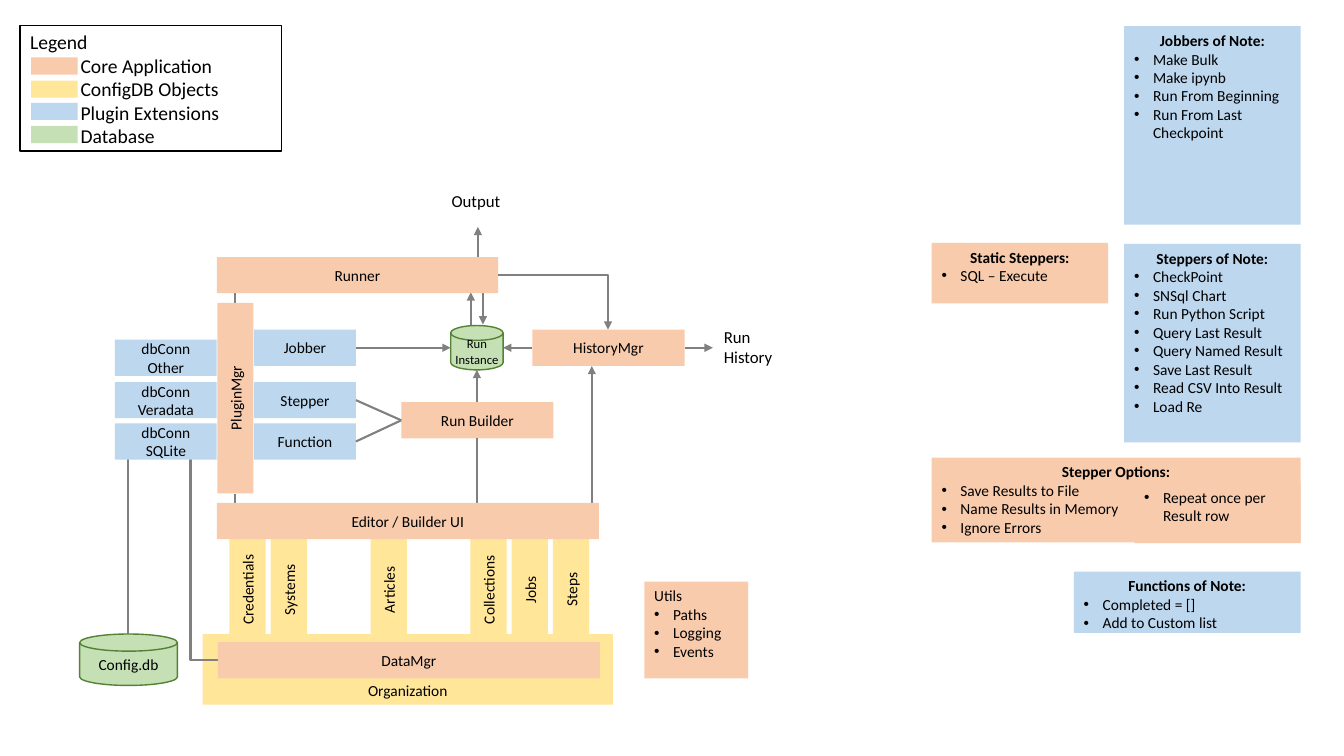
from lxml import etree
from pptx import Presentation
from pptx import util as u
from pptx.dml.color import RGBColor
from pptx.enum import shapes, text
from pptx.oxml import ns

PX = 9144  # 100 px to the inch
COLORS = {
    "core": "F8CBAD", "config": "FFE699", "plugin": "BDD7EE", "database": "C5E0B4",
    "rim": "548235", "line": "808080", "ink": "000000", "paper": "FFFFFF",
}
SHAPE = shapes.MSO_SHAPE
CENTER, LEFT = text.PP_ALIGN.CENTER, text.PP_ALIGN.LEFT
TOP, MIDDLE, BOTTOM = (text.MSO_ANCHOR.TOP, text.MSO_ANCHOR.MIDDLE,
                       text.MSO_ANCHOR.BOTTOM)


def color(name):
    return RGBColor.from_string(COLORS[name])


def child(parent, tag, **attrs):
    return etree.SubElement(parent, ns.qn(tag), attrs)


class Diagram:
    """Holds the slide and draws every element in one shared style."""

    def __init__(self, slide, font="Calibri", size=11):
        self.s, self.font, self.size = slide, font, size

    def add_text(self, p, words, size=None, bold=False, align=LEFT):
        p.alignment = align
        r = p.add_run()
        r.text = words
        r.font.name, r.font.size, r.font.bold = self.font, u.Pt(size or self.size), bold
        r.font.color.rgb = color("ink")

    def lines(self, tf, entries, first=0):
        """Yield a paragraph for each entry, reusing the frame's first one."""
        for i, entry in enumerate(entries, first):
            yield (tf.add_paragraph() if i else tf.paragraphs[0]), entry

    def bullets(self, tf, items, first=0):
        for p, item in self.lines(tf, items, first):
            pPr = p._p.get_or_add_pPr()
            pPr.set("marL", "171450")
            pPr.set("indent", "-171450")
            child(pPr, "a:buFont", typeface="Arial")
            child(pPr, "a:buChar", char="•")
            self.add_text(p, item)

    def shape(self, x, y, w, h, fill, kind=SHAPE.RECTANGLE, rim=None, anchor=TOP):
        sp = self.s.shapes.add_shape(kind, x * PX, y * PX, w * PX, h * PX)
        sp.shadow.inherit = False
        sp.fill.solid()
        sp.fill.fore_color.rgb = color(fill)
        if rim:
            sp.line.color.rgb = color(rim)
            sp.line.width = u.Pt(1)
        else:
            sp.line.fill.background()
        sp.text_frame.word_wrap = True
        sp.text_frame.vertical_anchor = anchor
        return sp

    def block(self, words, x, y, w, h, fill, anchor=MIDDLE, upright=False):
        sp = self.shape(x, y, w, h, fill, anchor=anchor)
        sp.rotation = 270 if upright else 0
        self.add_text(sp.text_frame.paragraphs[0], words, align=CENTER)

    def disk(self, words, x, y, w, h, size=None, inset=10):
        sp = self.shape(x, y, w, h, "database", SHAPE.FLOWCHART_MAGNETIC_DISK,
                        "rim", MIDDLE)
        tf = sp.text_frame
        tf.margin_left = tf.margin_right = inset * PX
        self.add_text(tf.paragraphs[0], words, size, align=CENTER)

    def note(self, heading, items, x, y, w, h, fill, bold=True, align=CENTER):
        tf = self.shape(x, y, w, h, fill).text_frame
        if heading:
            self.add_text(tf.paragraphs[0], heading, bold=bold, align=align)
        self.bullets(tf, items, first=1 if heading else 0)

    def label(self, words, x, y, w, h):
        tf = self.s.shapes.add_textbox(x * PX, y * PX, w * PX, h * PX).text_frame
        tf.word_wrap = False
        tf.auto_size = text.MSO_AUTO_SIZE.SHAPE_TO_FIT_TEXT
        for p, line in self.lines(tf, words):
            self.add_text(p, line, 12)

    def line(self, x1, y1, x2, y2, arrow=True, kind=shapes.MSO_CONNECTOR.STRAIGHT):
        c = self.s.shapes.add_connector(kind, *(round(v * PX) for v in (x1, y1, x2, y2)))
        c.line.color.rgb = color("line")
        c.line.width = u.Pt(1.5)
        spPr = c._element.spPr
        if arrow:
            child(spPr.find(ns.qn("a:ln")), "a:tailEnd", type="triangle")
        child(spPr, "a:effectLst")
        return c

    def elbow(self, x1, y1, x2, y2, arrow=True, down_first=False):
        """Draw one right-angle turn; down_first turns the frame a quarter."""
        if down_first:
            cx, cy = (x1 + x2) / 2, (y1 + y2) / 2
            half_w, half_h = (y2 - y1) / 2, (x2 - x1) / 2
            x1, y1, x2, y2 = cx + half_w, cy - half_h, cx - half_w, cy + half_h
        c = self.line(x1, y1, x2, y2, arrow, shapes.MSO_CONNECTOR.ELBOW)
        spPr = c._element.spPr
        spPr.find(ns.qn("a:prstGeom")).set("prst", "bentConnector2")
        if down_first:
            spPr.find(ns.qn("a:xfrm")).set("rot", "16200000")

    def legend(self, entries, x, y, w, h):
        tf = self.shape(x, y, w, h, "paper", rim="ink").text_frame
        self.add_text(tf.paragraphs[0], "Legend", 14)
        for i, (p, (name, fill)) in enumerate(self.lines(tf, entries, first=1)):
            tabs = child(p._p.get_or_add_pPr(), "a:tabLst")
            child(tabs, "a:tab", pos=str(50 * PX), algn="l")
            self.add_text(p, "\t" + name, 14)
            self.shape(x + 11, y + 32 + round(22.6 * i), 46, 17, fill)


def draw_data_layer(d):
    d.block("Organization", 201, 629, 407, 70, "config", anchor=BOTTOM)
    for y1, y2 in ((273, 301), (490, 510)):
        d.line(233, y1, 233, y2, arrow=False)
    for x, y1, y2 in ((474, 271, 225), (467, 337, 290), (479, 273, 322), (587, 499, 363)):
        d.line(x, y1, x, y2)
    d.elbow(189, 445, 216, 655, arrow=False, down_first=True)
    d.note("Utils", ["Paths", "Logging", "Events"], 639, 577, 103, 96, "core",
           bold=False, align=LEFT)
    d.block("DataMgr", 216, 637, 379, 36, "core")
    d.disk("Config.db", 79, 629, 97, 51)
    d.line(127, 629, 127, 445, arrow=False)
    config_objects = {"Credentials": 195, "Systems": 236, "Articles": 335,
                      "Collections": 434, "Jobs": 475, "Steps": 516}
    for name, x in config_objects.items():
        d.block(name, x, 567, 101, 36, "config", upright=True)


def draw_application(d):
    for name, y in (("Jobber", 327), ("Stepper", 379), ("Function", 420)):
        d.block(name, 252, y, 101, 36, "plugin")
    for name, y in (("Other", 337), ("Veradata", 379), ("SQLite", 420)):
        d.block("dbConn " + name, 114, y, 101, 36, "plugin")
    d.block("PluginMgr", 139, 377, 189, 36, "core", upright=True)
    d.block("Run Builder", 398, 399, 151, 36, "core")
    d.block("Runner", 215, 255, 279, 36, "core")
    d.block("HistoryMgr", 528, 327, 151, 36, "core")
    d.line(473, 510, 473, 435, arrow=False)
    d.block("Editor / Builder UI", 215, 499, 379, 36, "core")
    for y in (397, 438):
        d.line(353, y, 398, 417, arrow=False)
    d.line(473, 399, 473, 367)
    d.disk("Run Instance", 447, 323, 52, 44, size=9, inset=0)
    for x1, x2 in ((528, 499), (679, 707), (353, 447)):
        d.line(x1, 345, x2, 345)
    d.elbow(494, 273, 603, 327)
    d.label(["Output"], 438, 184, 69, 30)
    d.label(["Run", "History"], 708, 319, 69, 50)


def draw_notes(d):
    d.legend([("Core Application", "core"), ("ConfigDB Objects", "config"),
              ("Plugin Extensions", "plugin"), ("Database", "database")],
             20, 25, 259, 125)
    d.note("Jobbers of Note:",
           ["Make Bulk", "Make ipynb", "Run From Beginning", "Run From Last Checkpoint"],
           1115, 26, 175, 197, "plugin")
    d.note("Steppers of Note:",
           ["CheckPoint", "SNSql Chart", "Run Python Script", "Query Last Result",
            "Query Named Result", "Save Last Result", "Read CSV Into Result", "Load Re"],
           1115, 242, 175, 197, "plugin")
    d.note("Functions of Note:", ["Completed = []", "Add to Custom list"],
           1065, 567, 225, 61, "plugin")
    d.note("Static Steppers:", ["SQL – Execute"], 924, 241, 175, 60, "core")
    d.note("Stepper Options:",
           ["Save Results to File", "Name Results in Memory", "Ignore Errors"],
           924, 454, 366, 84, "core")
    d.note(None, ["Repeat once per Result row"], 1125, 479, 165, 60, "core")


def main():
    prs = Presentation()
    prs.slide_width, prs.slide_height = 1333 * PX, 750 * PX
    d = Diagram(prs.slides.add_slide(prs.slide_layouts[6]))
    draw_data_layer(d)
    draw_application(d)
    draw_notes(d)
    prs.save("out.pptx")


if __name__ == "__main__":
    main()
